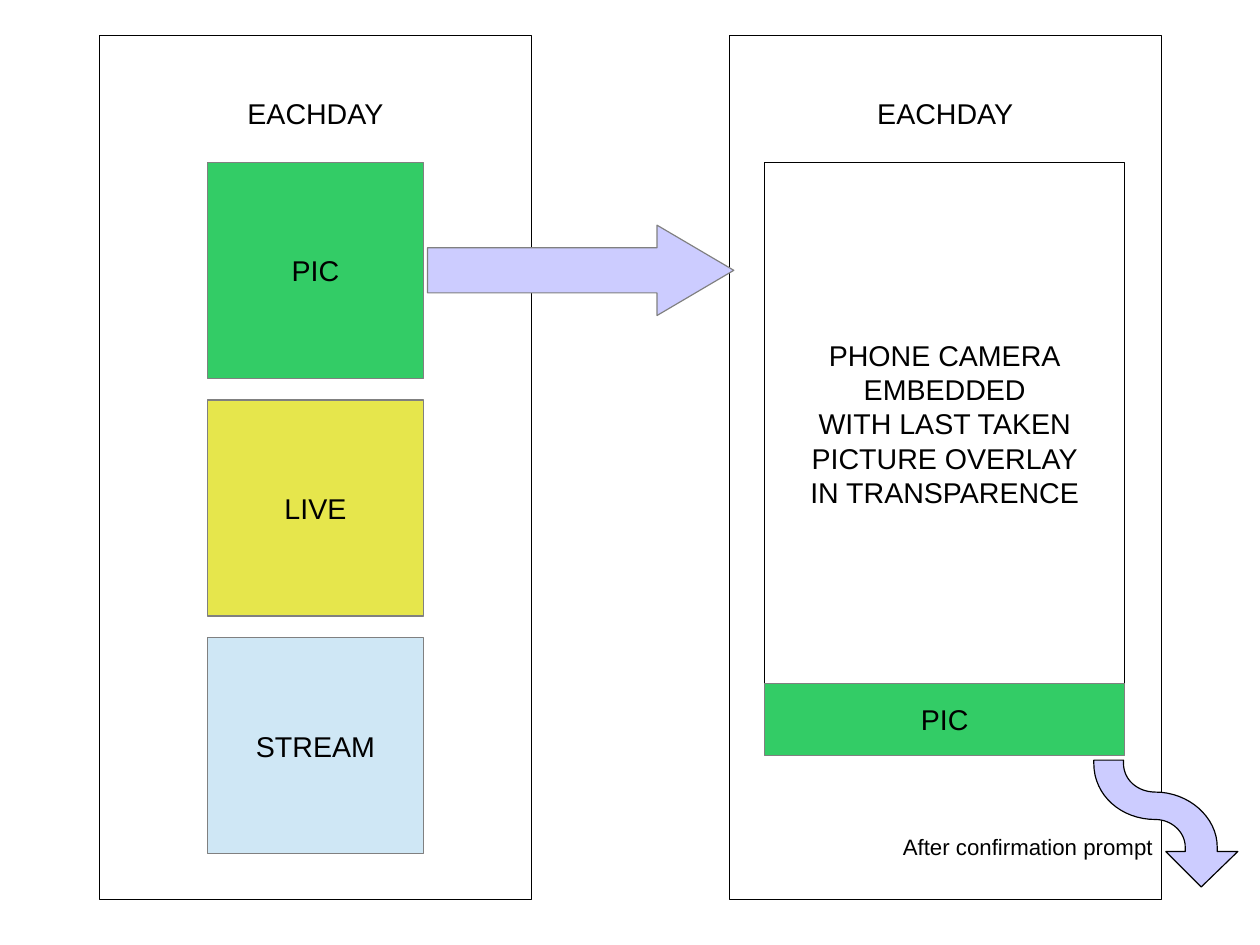
from pptx import Presentation
from pptx.dml.color import RGBColor
from pptx.enum.shapes import MSO_SHAPE as Preset
from pptx.enum.text import MSO_ANCHOR as Anchor, PP_ALIGN as Align
from pptx.util import Inches, Pt

BLACK = RGBColor(0x00, 0x00, 0x00)
WHITE = RGBColor(0xFF, 0xFF, 0xFF)
GRAY = RGBColor(0x80, 0x80, 0x80)
GREEN = RGBColor(0x33, 0xCC, 0x66)
YELLOW = RGBColor(0xE6, 0xE6, 0x4C)
BLUE = RGBColor(0xCF, 0xE7, 0xF5)
LAVENDER = RGBColor(0xCC, 0xCC, 0xFF)

FONT = "Arial"
APP_NAME = "EACHDAY"
CM_PER_INCH = 2.54
SLIDE_WIDTH, SLIDE_HEIGHT = 28 / CM_PER_INCH, 21 / CM_PER_INCH
PHONE_WIDTH, PHONE_HEIGHT = 3.78, 7.56
BUTTON_SIZE, BUTTON_STEP = 1.89, 2.08
BUTTONS = [("PIC", GREEN), ("LIVE", YELLOW), ("STREAM", BLUE)]
CAMERA_LINES = [
    "PHONE CAMERA",
    "EMBEDDED",
    "WITH LAST TAKEN",
    "PICTURE OVERLAY",
    "IN TRANSPARENCE",
]
CURVED_ARROW_START = (1.08, 0.76)
CURVED_ARROW_SEGMENTS = [
    [(1.08, 0.5), (0.83, 0.28), (0.54, 0.28)],
    [(0.38, 0.28), (0.26, 0.17), (0.26, 0.03)],
    [(0.26, 0)],
    [(0, 0)],
    [(0, 0.03)],
    [(0, 0.31), (0.24, 0.52), (0.54, 0.52)],
    [(0.68, 0.52), (0.8, 0.63), (0.8, 0.76)],
    [(0.8, 0.8)],
    [(0.63, 0.8)],
    [(0.94, 1.11)],
    [(1.26, 0.8)],
    [(1.08, 0.8)],
]


def style_shape(shape, fill, line):
    """Give a shape a flat fill and a hairline outline."""
    shape.shadow.inherit = False
    shape.fill.solid()
    shape.fill.fore_color.rgb = fill
    shape.line.color.rgb = line
    shape.line.width = Pt(0)


def write_lines(frame, lines, size=18, align=Align.CENTER):
    """Write each line as one paragraph."""
    for index, text in enumerate(lines):
        paragraph = frame.paragraphs[0] if index == 0 else frame.add_paragraph()
        paragraph.alignment = align
        run = paragraph.add_run()
        run.text = text
        run.font.name = FONT
        run.font.size = Pt(size)
        run.font.color.rgb = BLACK


def add_box(slide, left, top, width, height, fill, line, lines=(), preset=Preset.RECTANGLE):
    """Add a filled preset shape with centred text."""
    shape = slide.shapes.add_shape(
        preset, Inches(left), Inches(top), Inches(width), Inches(height)
    )
    style_shape(shape, fill, line)
    shape.text_frame.word_wrap = True
    shape.text_frame.vertical_anchor = Anchor.MIDDLE
    write_lines(shape.text_frame, lines)
    return shape


def add_label(slide, left, top, width, height, text, size=18, align=Align.CENTER):
    """Add a one-line text box."""
    label = slide.shapes.add_textbox(
        Inches(left), Inches(top), Inches(width), Inches(height)
    )
    label.text_frame.word_wrap = False
    write_lines(label.text_frame, [text], size, align)


def add_phone(slide, left, top):
    """Add a phone outline with the app name at its head."""
    add_box(slide, left, top, PHONE_WIDTH, PHONE_HEIGHT, WHITE, BLACK)
    add_label(slide, left + 1.19, top + 0.48, 1.4, 0.38, APP_NAME)


def add_menu_screen(slide, left, top):
    """Add the phone with the three menu buttons."""
    add_phone(slide, left, top)
    button_left = left + (PHONE_WIDTH - BUTTON_SIZE) / 2
    for row, (text, color) in enumerate(BUTTONS):
        button_top = top + 1.11 + row * BUTTON_STEP
        add_box(slide, button_left, button_top, BUTTON_SIZE, BUTTON_SIZE, color, GRAY, [text])


def add_camera_screen(slide, left, top):
    """Add the phone with the camera view and its trigger button."""
    add_phone(slide, left, top)
    add_box(slide, left + 0.31, top + 1.11, 3.15, 4.57, WHITE, BLACK, CAMERA_LINES)
    add_box(slide, left + 0.31, top + 5.67, 3.15, 0.63, GREEN, GRAY, ["PIC"])
    add_label(slide, left + 1.42, top + 6.93, 2.39, 0.32,
              "After confirmation prompt", 14, Align.LEFT)


def curve_points(points, steps=16):
    """Return points along a cubic curve after its start."""
    weights = (1, 3, 3, 1)
    return [
        tuple(
            sum(
                weight * (1 - step / steps) ** (3 - power) * (step / steps) ** power * point[axis]
                for power, (weight, point) in enumerate(zip(weights, points))
            )
            for axis in (0, 1)
        )
        for step in range(1, steps + 1)
    ]


def add_curved_arrow(slide, left, top):
    """Add the S-shaped arrow that leaves the camera screen."""
    outline = [CURVED_ARROW_START]
    for segment in CURVED_ARROW_SEGMENTS:
        is_curve = len(segment) == 3
        outline += curve_points([outline[-1], *segment]) if is_curve else segment
    vertices = [(Inches(left + x), Inches(top + y)) for x, y in outline]
    builder = slide.shapes.build_freeform(*vertices[0])
    builder.add_line_segments(vertices[1:], close=True)
    style_shape(builder.convert_to_shape(), LAVENDER, BLACK)


def main():
    """Build the slide and save it."""
    presentation = Presentation()
    presentation.slide_width = Inches(SLIDE_WIDTH)
    presentation.slide_height = Inches(SLIDE_HEIGHT)
    slide = presentation.slides.add_slide(presentation.slide_layouts[6])
    add_camera_screen(slide, 6.38, 0.31)
    add_menu_screen(slide, 0.87, 0.31)
    arrow = add_box(slide, 3.74, 1.97, 2.68, 0.79, LAVENDER, GRAY, preset=Preset.RIGHT_ARROW)
    arrow.adjustments[0] = 0.5
    arrow.adjustments[1] = 0.85
    add_curved_arrow(slide, 9.57, 6.65)
    presentation.save("out.pptx")


if __name__ == "__main__":
    main()
